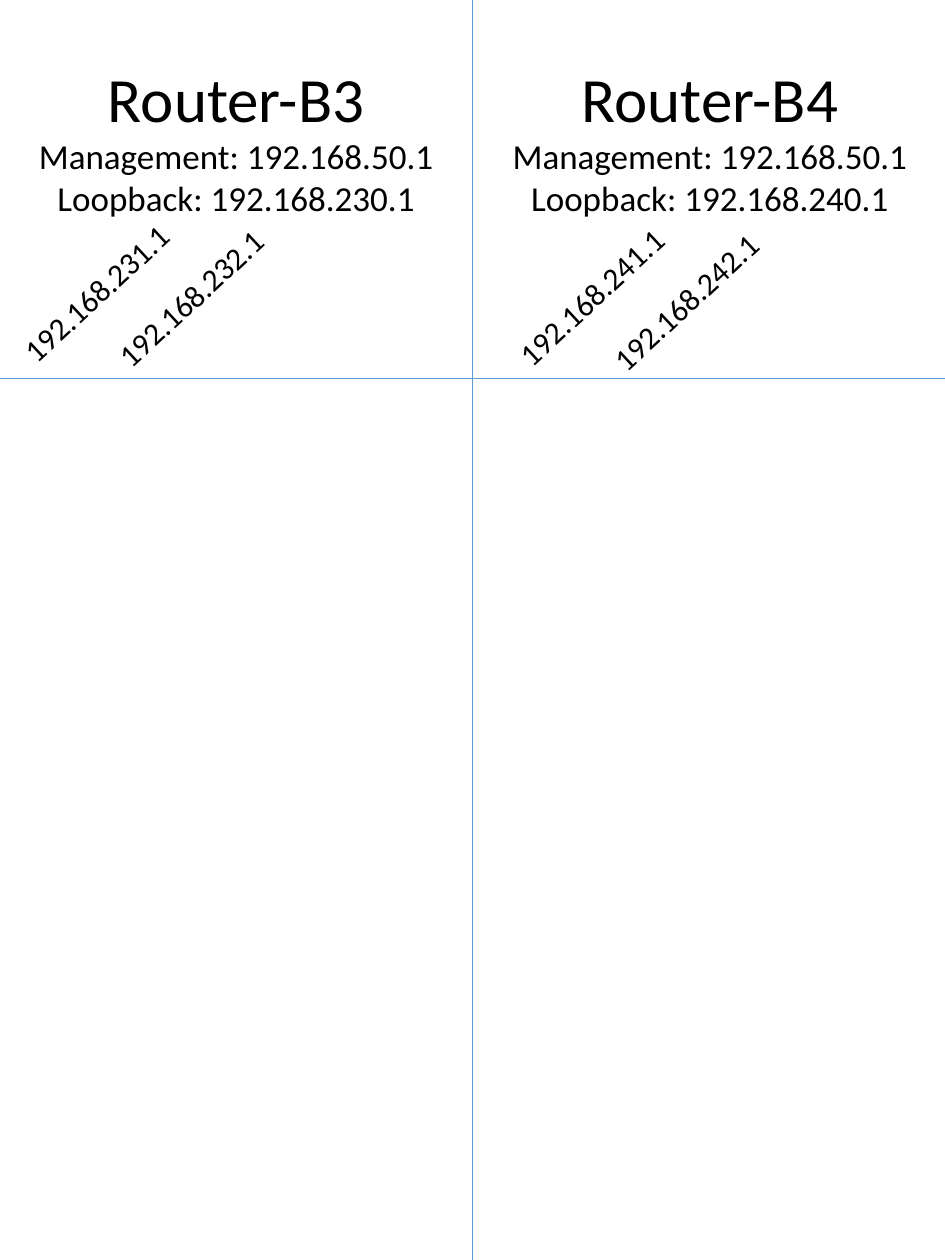
from dataclasses import dataclass

from lxml.etree import SubElement
from pptx import Presentation
from pptx.dml.color import RGBColor
from pptx.enum.shapes import MSO_CONNECTOR as Connector
from pptx.enum.text import MSO_ANCHOR as Anchor, MSO_AUTO_SIZE as AutoSize, PP_ALIGN as Align
from pptx.oxml.ns import qn
from pptx.util import Inches, Pt


@dataclass(frozen=True)
class Theme:
    font: str = "Calibri"
    ink: RGBColor = RGBColor(0x00, 0x00, 0x00)
    rule: RGBColor = RGBColor(0x5B, 0x9B, 0xD5)
    rule_width: float = 0.5
    name_size: int = 36
    detail_size: int = 20
    address_size: int = 18
    address_angle: float = 317.1


class LabelSheet:
    """Draws router labels on one page in a single style."""

    def __init__(self, page, theme):
        self.page = page
        self.theme = theme

    def style(self, para, size):
        for span in para.runs:
            span.font.name = self.theme.font
            span.font.size = Pt(size)
            span.font.bold = False
            span.font.color.rgb = self.theme.ink

    def cut_line(self, left, top, right, bottom):
        line = self.page.shapes.add_connector(
            Connector.STRAIGHT, Inches(left), Inches(top), Inches(right), Inches(bottom))
        line.line.color.rgb = self.theme.rule
        line.line.width = Pt(self.theme.rule_width)
        SubElement(line._element.spPr, qn("a:effectLst"))

    def heading(self, index, left, lines):
        box = self.page.placeholders[index]
        box.left, box.top = Inches(left), Inches(0.42)
        box.width, box.height = Inches(3.75), Inches(1.38)
        frame = box.text_frame
        frame.text = "\n".join(lines)
        frame.vertical_anchor = Anchor.TOP
        frame.auto_size = AutoSize.SHAPE_TO_FIT_TEXT
        for number, para in enumerate(frame.paragraphs):
            para.alignment = Align.CENTER
            para.space_before = Pt(0)
            self.style(para, self.theme.detail_size if number else self.theme.name_size)

    def address(self, left, top, text):
        box = self.page.shapes.add_textbox(
            Inches(left), Inches(top), Inches(1.67), Inches(0.4))
        box.rotation = self.theme.address_angle
        frame = box.text_frame
        frame.text = text
        frame.word_wrap = False
        frame.auto_size = AutoSize.SHAPE_TO_FIT_TEXT
        self.style(frame.paragraphs[0], self.theme.address_size)

    def remove_empty_placeholders(self):
        for box in list(self.page.placeholders):
            if not box.text_frame.text:
                box._element.getparent().remove(box._element)


deck = Presentation()
deck.slide_width, deck.slide_height = Inches(7.5), Inches(10)
page = deck.slides.add_slide(deck.slide_layouts.get_by_name("Comparison"))
sheet = LabelSheet(page, Theme())

sheet.cut_line(3.75, 0, 3.75, 10)
sheet.cut_line(0, 3, 7.5, 3)

routers = [
    (1, "Router-B3", 23, 0, -0.07, 2.12),
    (3, "Router-B4", 24, 3.76, 3.86, 2.15),
]
for index, name, subnet, left, address_left, address_top in routers:
    sheet.heading(index, left, [
        name, "Management: 192.168.50.1", f"Loopback: 192.168.{subnet}0.1"])
    for port in (1, 2):
        step = port - 1
        sheet.address(address_left + 0.75 * step, address_top + 0.04 * step,
                      f"192.168.{subnet}{port}.1")

sheet.remove_empty_placeholders()
deck.save("out.pptx")
